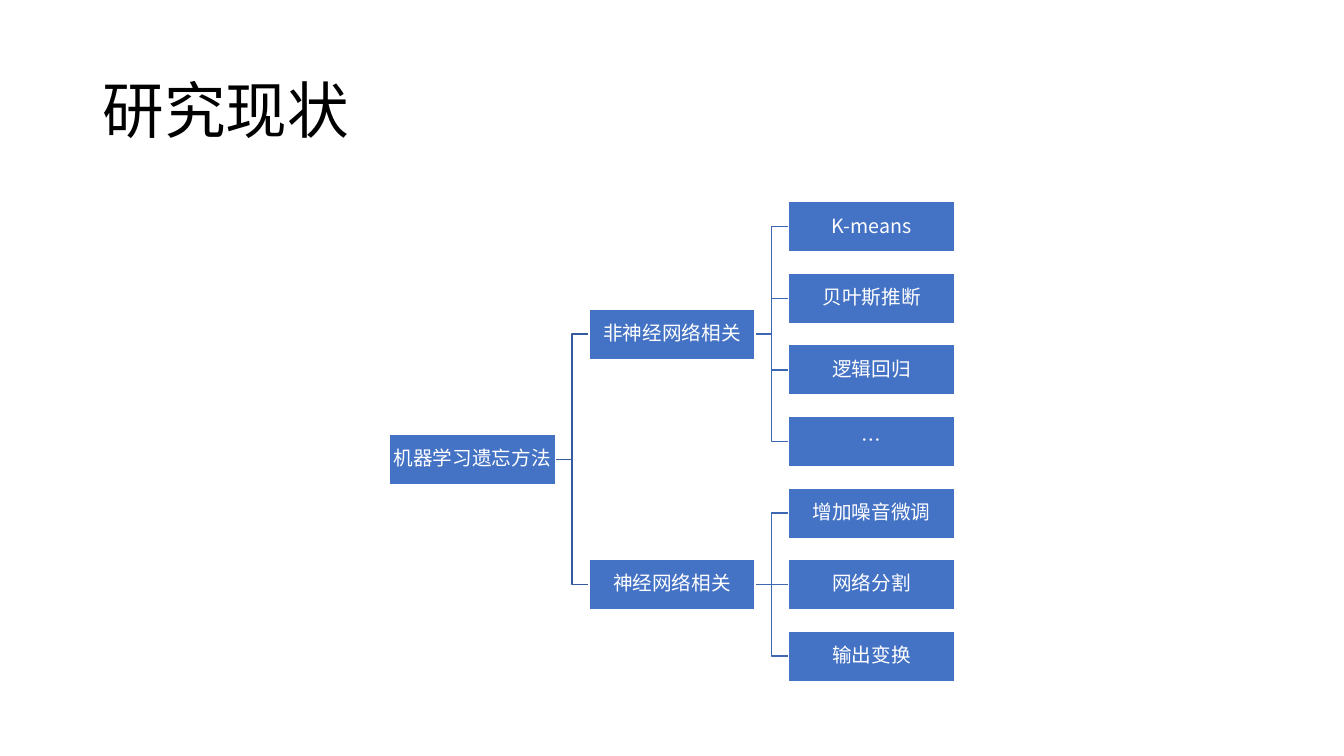
import pptx
import pptx.dml.color
import pptx.enum.shapes
import pptx.enum.text
import pptx.oxml.ns
import pptx.util
from lxml import etree

Inches = pptx.util.Inches
Pt = pptx.util.Pt
RGBColor = pptx.dml.color.RGBColor
Align = pptx.enum.text.PP_ALIGN
Connector = pptx.enum.shapes.MSO_CONNECTOR

BLACK = RGBColor(0x00, 0x00, 0x00)
WHITE = RGBColor(0xFF, 0xFF, 0xFF)
BLUE = RGBColor(0x44, 0x72, 0xC4)
ROOT_LINK = RGBColor(0x36, 0x5B, 0x9D)
LEAF_LINK = RGBColor(0x3E, 0x67, 0xB2)

BOX_WIDTH, BOX_HEIGHT = 1.65, 0.5
TREE_LEFT, COLUMN_STEP = 3.86, 1.98
TREE_TOP, ROW_STEP = 2, 0.71

ROOT = "机器学习遗忘方法"
BRANCHES = {
    "非神经网络相关": ["K-means", "贝叶斯推断", "逻辑回归", "…"],
    "神经网络相关": ["增加噪音微调", "网络分割", "输出变换"],
}


class TreeSlide:
    font_name = "Noto Sans CJK SC"

    def __init__(self, page):
        self.page = page

    def set_text(self, shape, text, size, color, align):
        frame = shape.text_frame
        frame.word_wrap = True
        frame.vertical_anchor = pptx.enum.text.MSO_ANCHOR.MIDDLE
        para = frame.paragraphs[0]
        para.text = text
        para.alignment = align
        para.line_spacing = 0.9
        font = para.font
        font.name = self.font_name
        font.size = Pt(size)
        font.color.rgb = color
        properties = para._p.pPr.defRPr
        east_asian = etree.SubElement(properties, pptx.oxml.ns.qn("a:ea"))
        east_asian.set("typeface", self.font_name)

    def title(self, text):
        box = self.page.shapes.add_textbox(
            Inches(0.92), Inches(0.4), Inches(11.5), Inches(1.45))
        self.set_text(box, text, 44, BLACK, Align.LEFT)

    def node(self, text, column, row):
        box = self.page.shapes.add_shape(
            pptx.enum.shapes.MSO_SHAPE.RECTANGLE,
            Inches(TREE_LEFT + column * COLUMN_STEP),
            Inches(TREE_TOP + row * ROW_STEP),
            Inches(BOX_WIDTH), Inches(BOX_HEIGHT))
        box.shadow.inherit = False
        box.fill.solid()
        box.fill.fore_color.rgb = BLUE
        box.line.color.rgb = WHITE
        box.line.width = Pt(1)
        frame = box.text_frame
        frame.margin_left = frame.margin_right = Inches(0.01)
        frame.margin_top = frame.margin_bottom = Inches(0.01)
        self.set_text(box, text, 14, WHITE, Align.CENTER)

    def link(self, column, parent_row, child_row, color):
        """Join a node to a child in the next column."""
        left = TREE_LEFT + column * COLUMN_STEP + BOX_WIDTH
        right = TREE_LEFT + (column + 1) * COLUMN_STEP
        start, end = (TREE_TOP + row * ROW_STEP + BOX_HEIGHT / 2
                      for row in (parent_row, child_row))
        kind = Connector.STRAIGHT if parent_row == child_row else Connector.ELBOW
        line = self.page.shapes.add_connector(
            kind, Inches(left), Inches(start), Inches(right), Inches(end))
        line.line.color.rgb = color
        line.line.width = Pt(1)
        etree.SubElement(line._element.spPr, pptx.oxml.ns.qn("a:effectLst"))

    def tree(self):
        """Stack the leaves evenly and centre each parent on its children."""
        nodes, branch_rows, next_row = [], [], 0
        for branch, leaves in BRANCHES.items():
            branch_row = next_row + (len(leaves) - 1) / 2
            branch_rows.append(branch_row)
            nodes.append((branch, 1, branch_row))
            for row, leaf in enumerate(leaves, next_row):
                nodes.append((leaf, 2, row))
                self.link(1, branch_row, row, LEAF_LINK)
            next_row += len(leaves)
        root_row = sum(branch_rows) / len(branch_rows)
        for branch_row in branch_rows:
            self.link(0, root_row, branch_row, ROOT_LINK)
        for text, column, row in [(ROOT, 0, root_row)] + nodes:
            self.node(text, column, row)


def main():
    deck = pptx.Presentation()
    deck.slide_width = Inches(13.33)
    deck.slide_height = Inches(7.5)
    slide = TreeSlide(deck.slides.add_slide(deck.slide_layouts[6]))
    slide.title("研究现状")
    slide.tree()
    deck.save("out.pptx")


if __name__ == "__main__":
    main()
